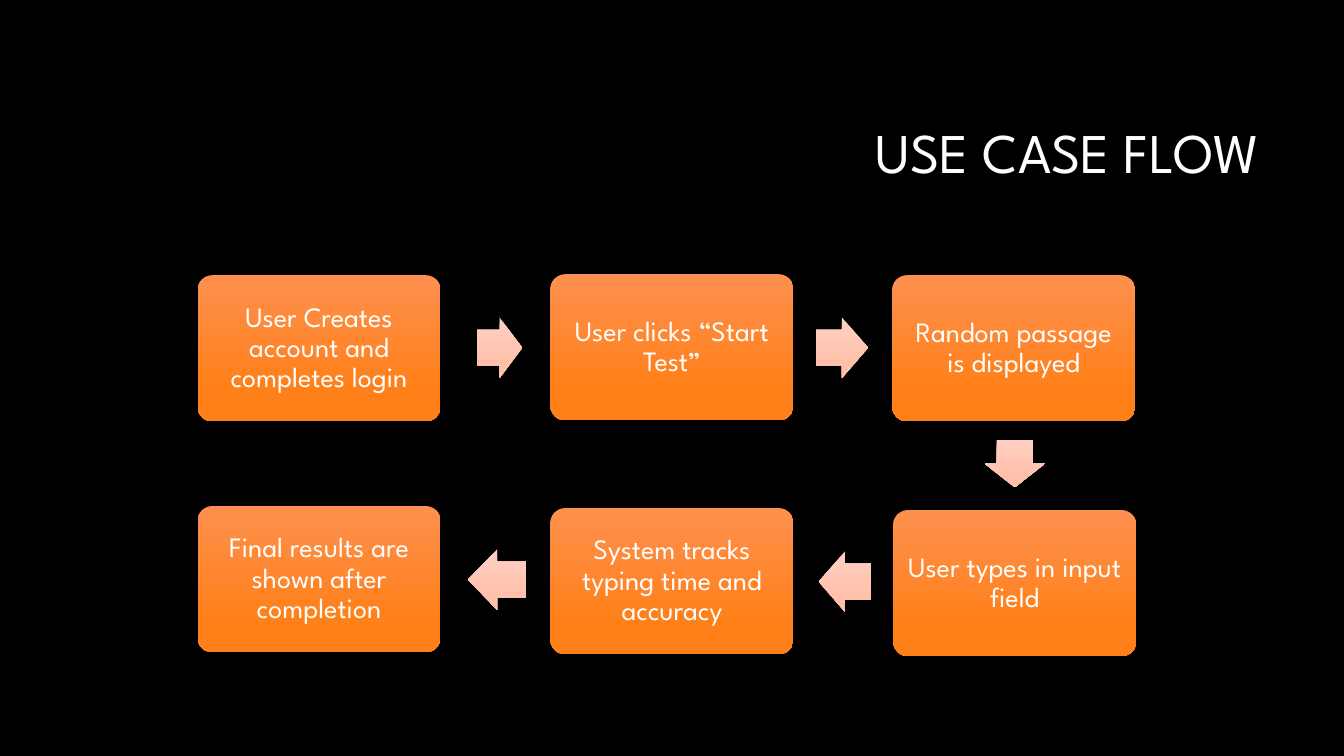
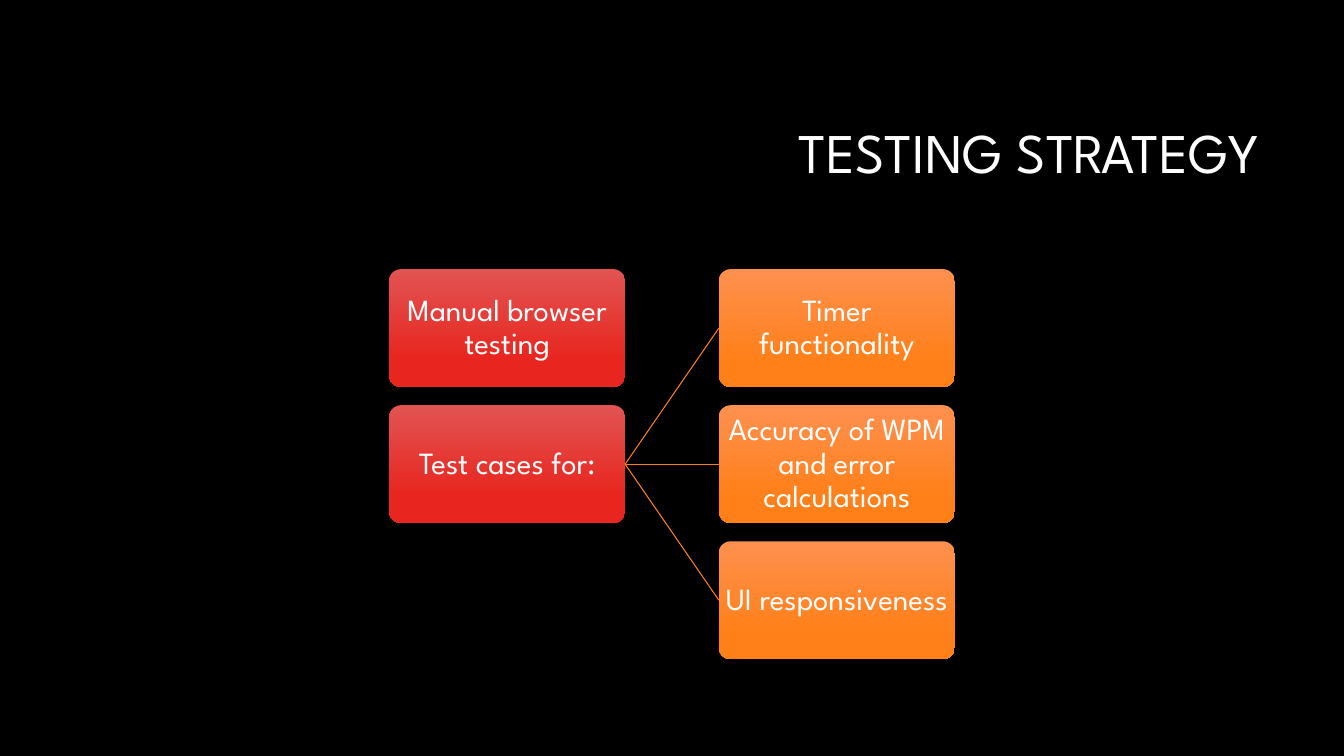
import lxml.etree
import pptx
import pptx.dml.color
import pptx.enum.shapes
import pptx.enum.text
import pptx.oxml.ns
import pptx.util

Inches = pptx.util.Inches
Pt = pptx.util.Pt
SHAPE = pptx.enum.shapes.MSO_SHAPE
ALIGN = pptx.enum.text.PP_ALIGN
MIDDLE = pptx.enum.text.MSO_ANCHOR.MIDDLE


def rgb(value):
    return pptx.dml.color.RGBColor.from_string(value)


class Deck:
    font = "League Spartan"
    background = "000000"
    white = "FFFFFF"
    line_color = "FE801A"
    orange = ("FE904F", "FF8019")
    red = ("E25452", "E8251F")
    peach = ("FFD0C1", "FFC0AB")

    def __init__(self):
        self.prs = pptx.Presentation()
        self.prs.slide_width = Inches(13.33)
        self.prs.slide_height = Inches(7.5)
        fill = self.prs.slide_master.background.fill
        fill.solid()
        fill.fore_color.rgb = rgb(self.background)
        self.slide = None

    def add_slide(self, title):
        self.slide = self.prs.slides.add_slide(self.prs.slide_layouts[5])
        sp = self.slide.shapes.title
        sp.left, sp.top = Inches(3.17), Inches(0.84)
        sp.width, sp.height = Inches(9.42), Inches(1.41)
        self.set_text(sp, title, size=40, align=ALIGN.RIGHT)

    def set_text(self, sp, text, size=20, align=ALIGN.CENTER, inset=None):
        tf = sp.text_frame
        tf.word_wrap = True
        tf.vertical_anchor = MIDDLE
        if inset is not None:
            tf.margin_left = tf.margin_right = Inches(inset)
            tf.margin_top = tf.margin_bottom = Inches(inset)
        p = tf.paragraphs[0]
        p.alignment = align
        p.line_spacing = 0.9
        r = p.add_run()
        r.text = text
        r.font.name = self.font
        r.font.size = Pt(size)
        r.font.color.rgb = rgb(self.white)

    def shape(self, kind, at, colors, adjustments, rotation=0):
        """Add a borderless shape whose gradient runs down the slide at any rotation."""
        sp = self.slide.shapes.add_shape(kind, *map(Inches, at))
        sp.shadow.inherit = False
        sp.rotation = rotation
        for i, value in enumerate(adjustments):
            sp.adjustments[i] = value
        sp.line.fill.background()
        sp.fill.gradient()
        sp.fill.gradient_angle = (270 + rotation) % 360
        for stop, color, position in zip(sp.fill.gradient_stops, colors, (0, 0.78)):
            stop.color.rgb = rgb(color)
            stop.position = position
        return sp

    def box(self, at, text, colors, **text_format):
        sp = self.shape(SHAPE.ROUNDED_RECTANGLE, at, colors, [0.1])
        self.set_text(sp, text, **text_format)
        return sp

    def arrow(self, at, rotation):
        self.shape(SHAPE.RIGHT_ARROW, at, self.peach, [0.6, 0.5], rotation)

    def connect(self, parent, child):
        """Join the right side of parent to the left side of child."""
        line = self.slide.shapes.add_connector(
            pptx.enum.shapes.MSO_CONNECTOR.STRAIGHT, 0, 0, 0, 0)
        line.begin_connect(parent, 3)
        line.end_connect(child, 1)
        line.line.color.rgb = rgb(self.line_color)
        line.line.width = Pt(0.75)
        lxml.etree.SubElement(line._element.spPr, pptx.oxml.ns.qn("a:effectLst"))


def use_case_flow(deck):
    deck.add_slide("USE CASE FLOW")
    steps = [
        (1.96, 2.73, "User Creates account and completes login"),
        (5.46, 2.72, "User clicks “Start Test”"),
        (8.85, 2.73, "Random passage is displayed"),
        (8.86, 5.06, "User types in input field"),
        (5.46, 5.04, "System tracks typing time and accuracy"),
        (1.96, 5.02, "Final results are shown after completion"),
    ]
    for left, top, text in steps:
        deck.box((left, top, 2.41, 1.45), text, deck.orange, size=20, inset=0.08)
    arrows = [
        (4.73, 3.15, 0.45, 0),
        (8.09, 3.15, 0.52, 0),
        (9.83, 4.3, 0.47, 90),
        (8.12, 5.47, 0.52, 180),
        (4.64, 5.45, 0.58, 180),
    ]
    for left, top, width, rotation in arrows:
        deck.arrow((left, top, width, 0.6), rotation)


def testing_strategy(deck):
    deck.add_slide("TESTING STRATEGY")
    height, gap = 1.17, 0.18

    def column(left, texts, colors):
        return [deck.box((left, 2.67 + row * (height + gap), 2.34, height), text,
                         colors, size=22, inset=0.02)
                for row, text in enumerate(texts)]

    methods = column(3.86, ["Manual browser testing", "Test cases for:"], deck.red)
    cases = column(7.13, ["Timer functionality",
                          "Accuracy of WPM and error calculations",
                          "UI responsiveness"], deck.orange)
    for case in cases:
        deck.connect(methods[-1], case)


def main():
    deck = Deck()
    use_case_flow(deck)
    testing_strategy(deck)
    deck.prs.save("out.pptx")


if __name__ == "__main__":
    main()
